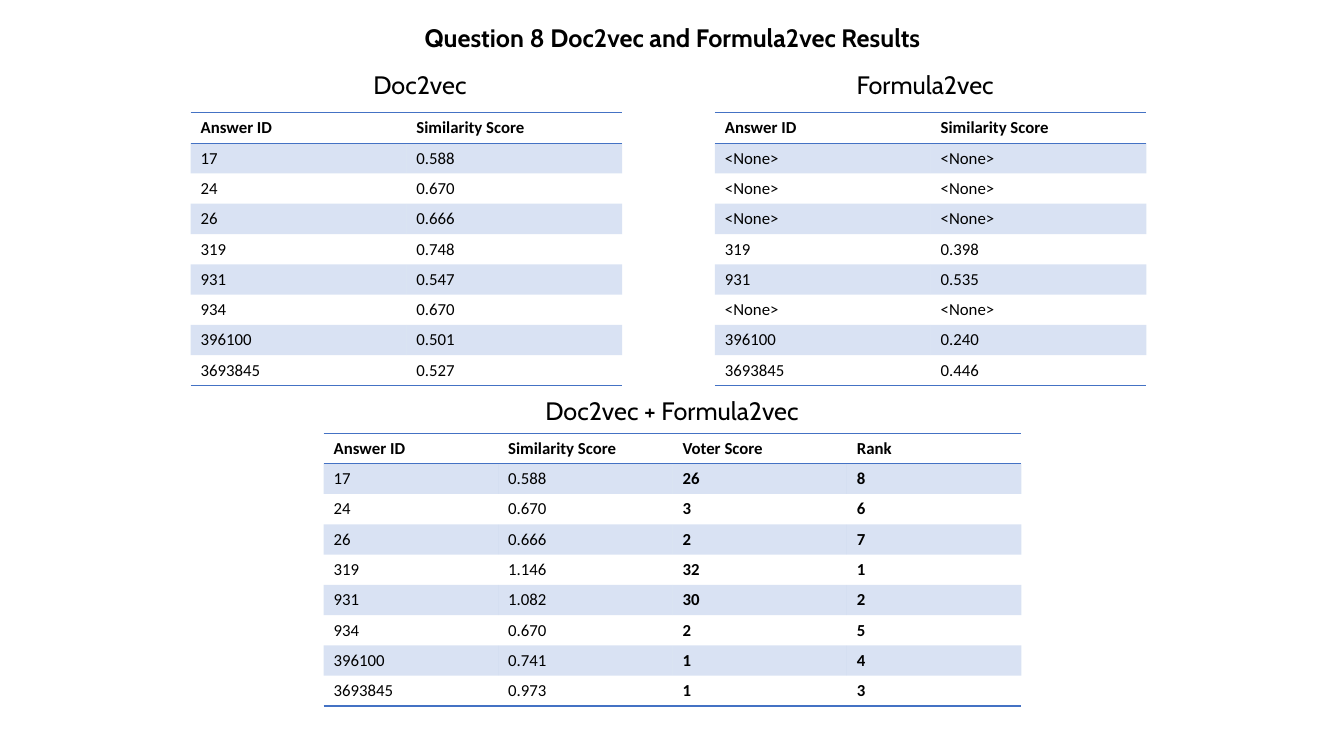
"""Build a slide of three score tables for question 8."""
import dataclasses

import lxml.etree
import pptx
import pptx.dml.color
import pptx.enum.text
import pptx.oxml.ns
import pptx.util

SCALE = 9144
ROW = 30
PLAIN = "{2D5ABB26-0587-4C30-8999-92F81FD0307C}"
NONE = "<None>"
IDS = ["17", "24", "26", "319", "931", "934", "396100", "3693845"]
DOC = ["0.588", "0.670", "0.666", "0.748", "0.547", "0.670", "0.501", "0.527"]
FORM_IDS = [NONE, NONE, NONE, "319", "931", NONE, "396100", "3693845"]
FORM = [NONE, NONE, NONE, "0.398", "0.535", NONE, "0.240", "0.446"]
BOTH = ["0.588", "0.670", "0.666", "1.146", "1.082", "0.670", "0.741", "0.973"]
VOTES = ["26", "3", "2", "32", "30", "2", "1", "1"]
RANKS = ["8", "6", "7", "1", "2", "5", "4", "3"]


@dataclasses.dataclass(frozen=True)
class Theme:
    """Hold the colours, fonts and type sizes."""
    ink: str = "000000"
    blue: str = "4472C4"
    tint: int = 20
    head_font: str = "Cabin"
    cell_font: str = "Calibri"
    head_size: int = 18
    cell_size: int = 12
    rule: int = 1


THEME = Theme()


def px(count):
    """Turn px into EMU."""
    return pptx.util.Emu(count * SCALE)


def shade(code):
    """Give the colour for a hex code."""
    return pptx.dml.color.RGBColor.from_string(code)


def write(frame, text, font, size, bold=False, align=None):
    """Put one formatted line of text in a frame."""
    line = frame.paragraphs[0]
    line.alignment = align
    run = line.add_run()
    run.text = text
    run.font.name = font
    run.font.size = pptx.util.Pt(size)
    run.font.bold = bold
    run.font.color.rgb = shade(THEME.ink)


def add_node(parent, tag, **attrs):
    """Add one XML child to a parent."""
    return lxml.etree.SubElement(parent, pptx.oxml.ns.qn(tag), **attrs)


def add_head(slide, text, left, top, width, bold=False):
    """Add a centred heading."""
    box = slide.shapes.add_textbox(px(left), px(top), px(width), px(40))
    box.text_frame.word_wrap = True
    write(box.text_frame, text, THEME.head_font, THEME.head_size, bold,
          pptx.enum.text.PP_ALIGN.CENTER)


def rule_cell(cell, tags):
    """Draw the named borders of a cell."""
    for tag in tags:
        line = add_node(cell._tc.get_or_add_tcPr(), tag,
                        w=str(pptx.util.Pt(THEME.rule)))
        add_node(add_node(line, "a:solidFill"), "a:srgbClr", val=THEME.blue)


def fill_cell(cell, band):
    """Tint a banded cell and clear any other."""
    if not band:
        cell.fill.background()
        return
    cell.fill.solid()
    cell.fill.fore_color.rgb = shade(THEME.blue)
    tone = cell._tc.tcPr.find(".//a:solidFill/a:srgbClr", pptx.oxml.ns._nsmap)
    add_node(tone, "a:alpha", val=str(THEME.tint * 1000))


def add_grid(slide, left, top, wide, fields):
    """Add a table with one column for each field."""
    rows = [list(fields), *zip(*fields.values())]
    frame = slide.shapes.add_table(len(rows), len(fields), px(left), px(top),
                                   px(wide * len(fields)), px(ROW * len(rows)))
    table = frame.table
    table._tbl.tblPr.find(pptx.oxml.ns.qn("a:tableStyleId")).text = PLAIN
    table.first_row = table.horz_banding = False
    for col in table.columns:
        col.width = px(wide)
    for i, row in enumerate(rows):
        table.rows[i].height = px(ROW)
        tags = {0: ["a:lnT", "a:lnB"], len(rows) - 1: ["a:lnB"]}.get(i, [])
        for j, text in enumerate(row):
            cell = table.cell(i, j)
            rule_cell(cell, tags)
            fill_cell(cell, i % 2 == 1)
            write(cell.text_frame, text, THEME.cell_font, THEME.cell_size,
                  bold=i == 0 or j > 1)


def main():
    """Build and save the slide."""
    deck = pptx.Presentation()
    deck.slide_width, deck.slide_height = px(1333), px(750)
    slide = deck.slides.add_slide(deck.slide_layouts[6])
    add_head(slide, "Question 8 Doc2vec and Formula2vec Results",
             166, 17, 1002, bold=True)
    add_head(slide, "Doc2vec", 166, 64, 501)
    add_head(slide, "Formula2vec", 667, 64, 501)
    add_head(slide, "Doc2vec + Formula2vec", 416, 387, 501)
    add_grid(slide, 189, 112, 214, {"Answer ID": IDS, "Similarity Score": DOC})
    add_grid(slide, 709, 112, 214,
             {"Answer ID": FORM_IDS, "Similarity Score": FORM})
    add_grid(slide, 321, 430, 173,
             {"Answer ID": IDS, "Similarity Score": BOTH,
              "Voter Score": VOTES, "Rank": RANKS})
    deck.save("out.pptx")


if __name__ == "__main__":
    main()
